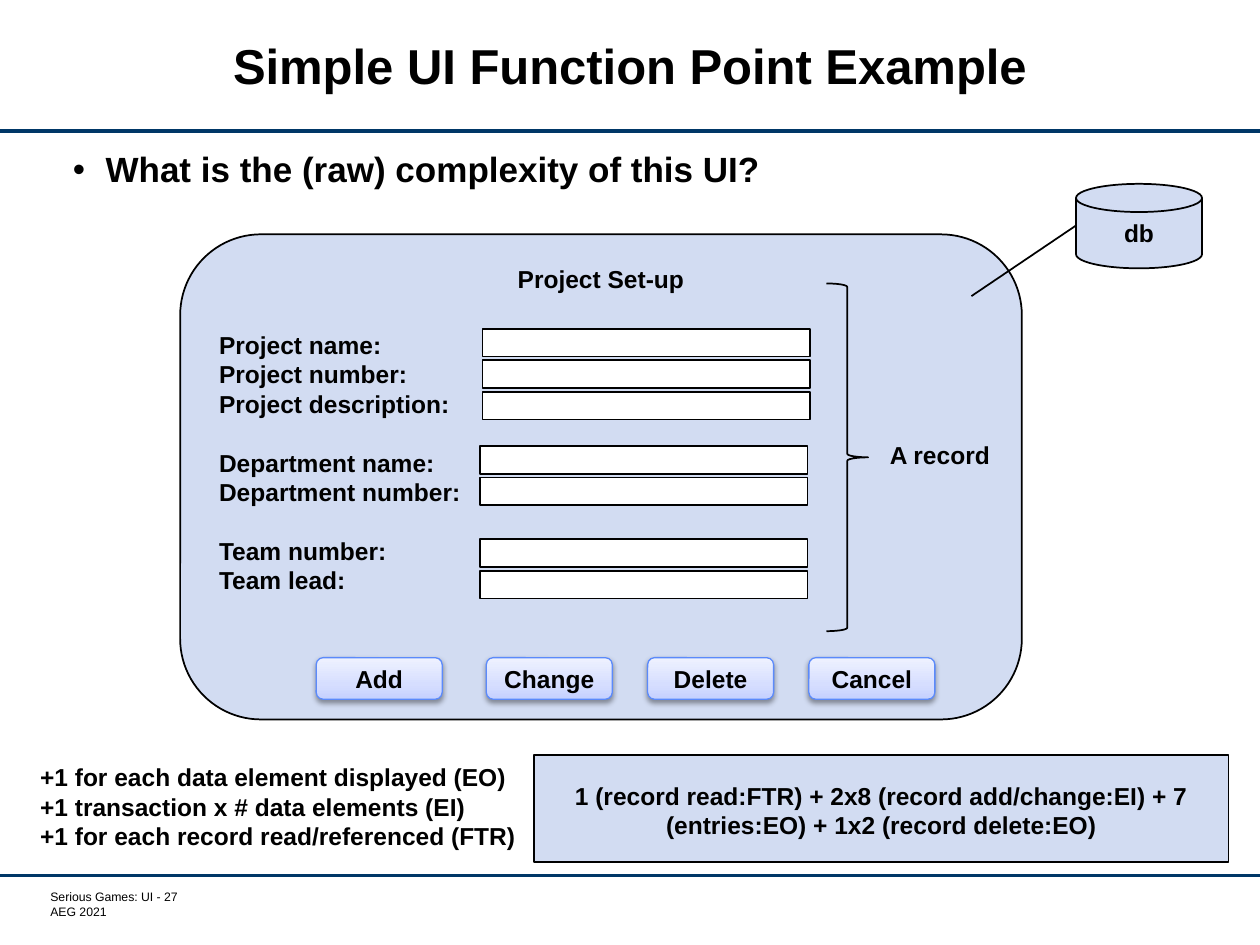
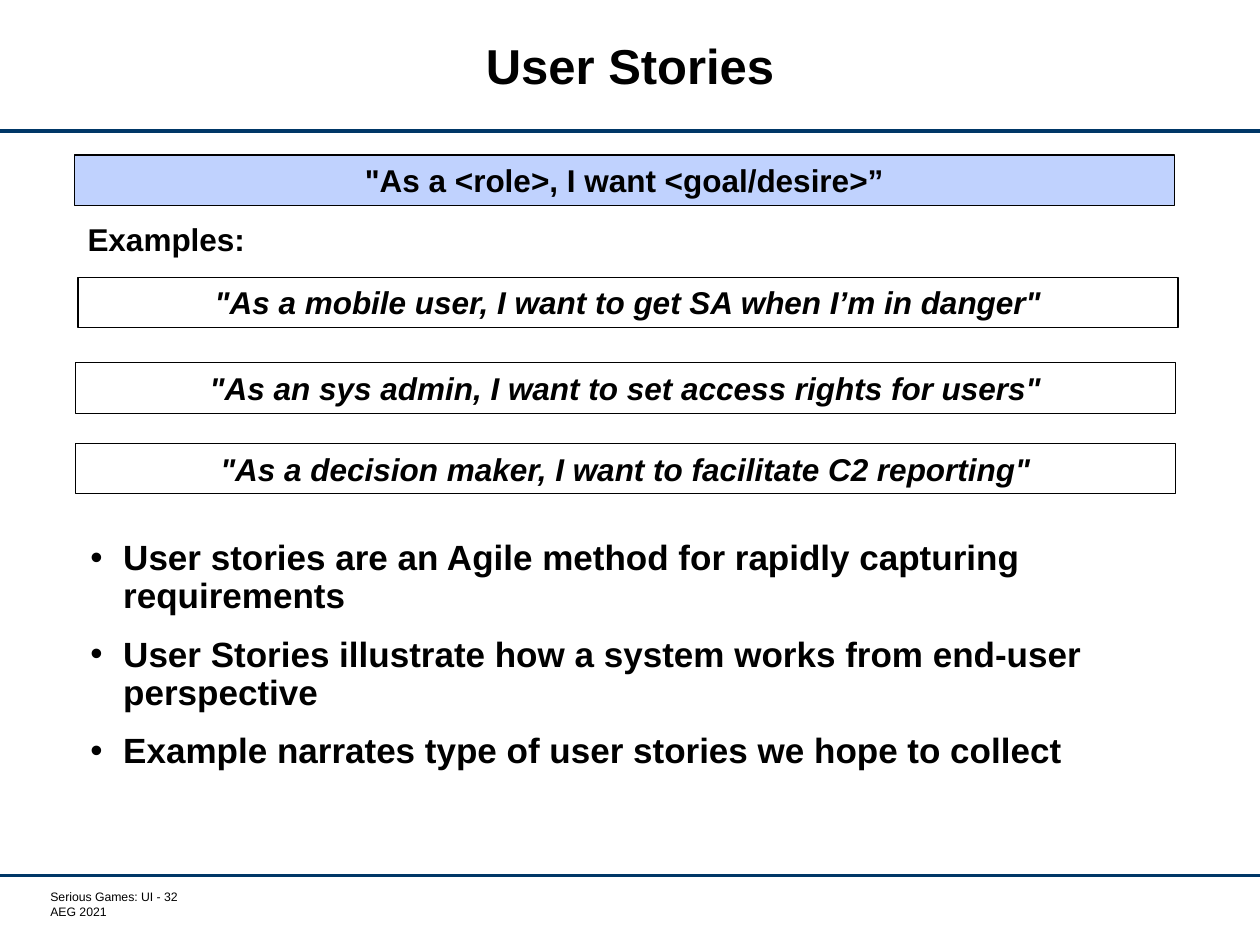
"""Build two slides on function points and user stories."""
from lxml import etree
from pptx import Presentation
from pptx.dml.color import RGBColor
from pptx.enum.shapes import MSO_CONNECTOR, MSO_SHAPE
from pptx.enum.text import MSO_ANCHOR, MSO_AUTO_SIZE, PP_ALIGN
from pptx.oxml import parse_xml
from pptx.oxml.ns import nsdecls, qn
from pptx.util import Inches, Pt

FONT = "Arial"
BLACK, WHITE, NAVY = "000000", "FFFFFF", "003767"
PANEL, STORY = "D2DCF2", "C0D2FE"
BUTTON_EDGE = "5B8AFB"
BUTTON_STOPS = [(0, "C4D0FF"), (35, "D6DEFF"), (100, "EFF2FF")]


def color(hex_code):
    return RGBColor.from_string(hex_code)


def box(left, top, width, height):
    return Inches(left), Inches(top), Inches(width), Inches(height)


class Deck:
    def __init__(self):
        self.prs = Presentation()
        self.prs.slide_width, self.prs.slide_height = Inches(10), Inches(7.5)
        self.slide = None

    def new_slide(self, heading, number):
        self.slide = self.prs.slides.add_slide(self.prs.slide_layouts[5])
        for y in (1.04, 6.95):
            self.line((0, y), (10, y), NAVY, 1.75)
        footer = self.text((0.35, 7.06, 1.19, 0.24),
                           [f"Serious Games: UI - {number}", "AEG 2021"], 7, bold=False)
        footer.margin_left = Inches(0.05)
        footer.margin_top = footer.margin_right = footer.margin_bottom = 0
        title = self.slide.shapes.title
        title.left, title.top, title.width, title.height = box(1.03, 0.11, 7.94, 0.89)
        self.fill_text(title.text_frame, [heading], 28, PP_ALIGN.CENTER, MSO_ANCHOR.MIDDLE)
        title.text_frame.paragraphs[0].line_spacing = Pt(28)

    def fill_text(self, frame, lines, size, align=PP_ALIGN.LEFT, anchor=MSO_ANCHOR.TOP,
                  bold=True, italic=False, wrap=True):
        frame.text = "\n".join(lines)
        frame.word_wrap = wrap
        frame.auto_size = MSO_AUTO_SIZE.NONE
        frame.vertical_anchor = anchor
        for paragraph in frame.paragraphs:
            paragraph.alignment = align
            for run in paragraph.runs:
                font = run.font
                font.name, font.size = FONT, Pt(size)
                font.bold, font.italic = bold, italic
                font.color.rgb = color(BLACK)

    def text(self, place, lines, size=14, **style):
        frame = self.slide.shapes.add_textbox(*box(*place)).text_frame
        self.fill_text(frame, lines, size, **style)
        return frame

    def bullets(self, place, lines):
        frame = self.text(place, lines, 20)
        for index, paragraph in enumerate(frame.paragraphs):
            paragraph.line_spacing = 0.9
            paragraph.space_before = Pt(12 if index else 0)
            props = paragraph._p.get_or_add_pPr()
            props.set("marL", str(Inches(0.26)))
            props.set("indent", str(-Inches(0.26)))
            etree.SubElement(props, qn("a:buFont")).set("typeface", FONT)
            etree.SubElement(props, qn("a:buChar")).set("char", "•")

    def shape(self, kind, place, fill=None, edge=BLACK, weight=1.0, label=None,
              size=14, anchor=MSO_ANCHOR.MIDDLE, italic=False):
        shape = self.slide.shapes.add_shape(kind, *box(*place))
        shape.shadow.inherit = False
        if fill:
            shape.fill.solid()
            shape.fill.fore_color.rgb = color(fill)
        else:
            shape.fill.background()
        shape.line.color.rgb = color(edge)
        shape.line.width = Pt(weight)
        if label:
            self.fill_text(shape.text_frame, [label], size, PP_ALIGN.CENTER, anchor,
                           italic=italic)
        return shape

    def button(self, place, label):
        props = self.shape(MSO_SHAPE.ROUNDED_RECTANGLE, place, WHITE, BUTTON_EDGE,
                           0.75, label)._element.spPr
        stops = "".join(f'<a:gs pos="{pos * 1000}"><a:srgbClr val="{tone}"/></a:gs>'
                        for pos, tone in BUTTON_STOPS)
        props.replace(props.find(qn("a:solidFill")), parse_xml(
            f'<a:gradFill {nsdecls("a")} rotWithShape="1"><a:gsLst>{stops}</a:gsLst>'
            '<a:lin ang="16200000" scaled="0"/></a:gradFill>'))
        props.find(qn("a:effectLst")).append(parse_xml(
            f'<a:outerShdw {nsdecls("a")} blurRad="{Pt(3.1)}" dist="{Pt(1.6)}" dir="5400000" '
            'rotWithShape="0"><a:srgbClr val="000000"><a:alpha val="38000"/></a:srgbClr>'
            '</a:outerShdw>'))

    def line(self, start, end, tone=BLACK, weight=1.0):
        line = self.slide.shapes.add_connector(
            MSO_CONNECTOR.STRAIGHT, *map(Inches, (*start, *end)))
        line.line.color.rgb = color(tone)
        line.line.width = Pt(weight)
        etree.SubElement(line._element.spPr, qn("a:effectLst"))


def function_points(deck):
    deck.new_slide("Simple UI Function Point Example", 27)
    deck.shape(MSO_SHAPE.RECTANGLE, (4.24, 5.99, 5.51, 0.85), PANEL)
    deck.bullets((0.48, 1.16, 8.96, 0.45), ["What is the (raw) complexity of this UI?"])
    deck.shape(MSO_SHAPE.ROUNDED_RECTANGLE, (1.43, 1.86, 6.68, 3.85), PANEL,
               label="Project Set-up", anchor=MSO_ANCHOR.TOP)

    field_names = deck.text((1.64, 2.57, 2.14, 2.22), [
        "Project name:", "Project number:", "Project description:",
        "Department name:", "Department number:", "Team number:", "Team lead:"])
    for group_start in (3, 5):
        field_names.paragraphs[group_start].space_before = Pt(16.8)

    for left, label in zip((2.51, 3.86, 5.14, 6.42), ("Add", "Change", "Delete", "Cancel")):
        deck.button((left, 5.22, 1, 0.33), label)
    for left, top, count in ((3.83, 2.61, 3), (3.81, 3.54, 2), (3.81, 4.28, 2)):
        for row in range(count):
            deck.shape(MSO_SHAPE.RECTANGLE, (left, top + 0.25 * row, 2.6, 0.22), WHITE)

    deck.shape(MSO_SHAPE.FLOWCHART_MAGNETIC_DISK, (8.54, 1.46, 1, 0.67), PANEL, label="db")
    deck.line((7.71, 2.35), (8.54, 1.79))
    deck.shape(MSO_SHAPE.RIGHT_BRACE, (6.56, 2.25, 0.33, 2.76))
    deck.text((6.96, 3.44, 1, 0.34), ["A record"], align=PP_ALIGN.CENTER, wrap=False)
    deck.text((0.22, 6, 3.99, 0.81), [
        "+1 for each data element displayed (EO)",
        "+1 transaction x # data elements (EI)",
        "+1 for each record read/referenced (FTR)"], wrap=False)
    deck.text((4.35, 6.15, 5.29, 0.57), [
        "1 (record read:FTR) + 2x8 (record add/change:EI) + 7 (entries:EO)"
        " + 1x2 (record delete:EO)"], align=PP_ALIGN.CENTER)


def user_stories(deck):
    deck.new_slide("User Stories", 32)
    deck.bullets((0.62, 4.24, 8.96, 2.2), [
        "User stories are an Agile method for rapidly capturing requirements",
        "User Stories illustrate how a system works from end-user perspective",
        "Example narrates type of user stories we hope to collect"])
    stories = [
        (0.59, 1.23, STORY, '"As a <role>, I want <goal/desire>”'),
        (0.62, 2.2, WHITE, '"As a mobile user, I want to get SA when I’m in danger"'),
        (0.6, 2.88, WHITE, '"As an sys admin, I want to set access rights for users"'),
        (0.6, 3.52, WHITE, '"As a decision maker, I want to facilitate C2 reporting"'),
    ]
    for left, top, fill, story in stories:
        deck.shape(MSO_SHAPE.RECTANGLE, (left, top, 8.73, 0.4), fill, weight=0.75, label=story,
                   size=18, anchor=MSO_ANCHOR.TOP, italic=fill == WHITE)
    deck.text((0.59, 1.7, 1.46, 0.4), ["Examples:"], 18, align=PP_ALIGN.CENTER, wrap=False)


def main():
    deck = Deck()
    function_points(deck)
    user_stories(deck)
    deck.prs.save("out.pptx")


if __name__ == "__main__":
    main()
